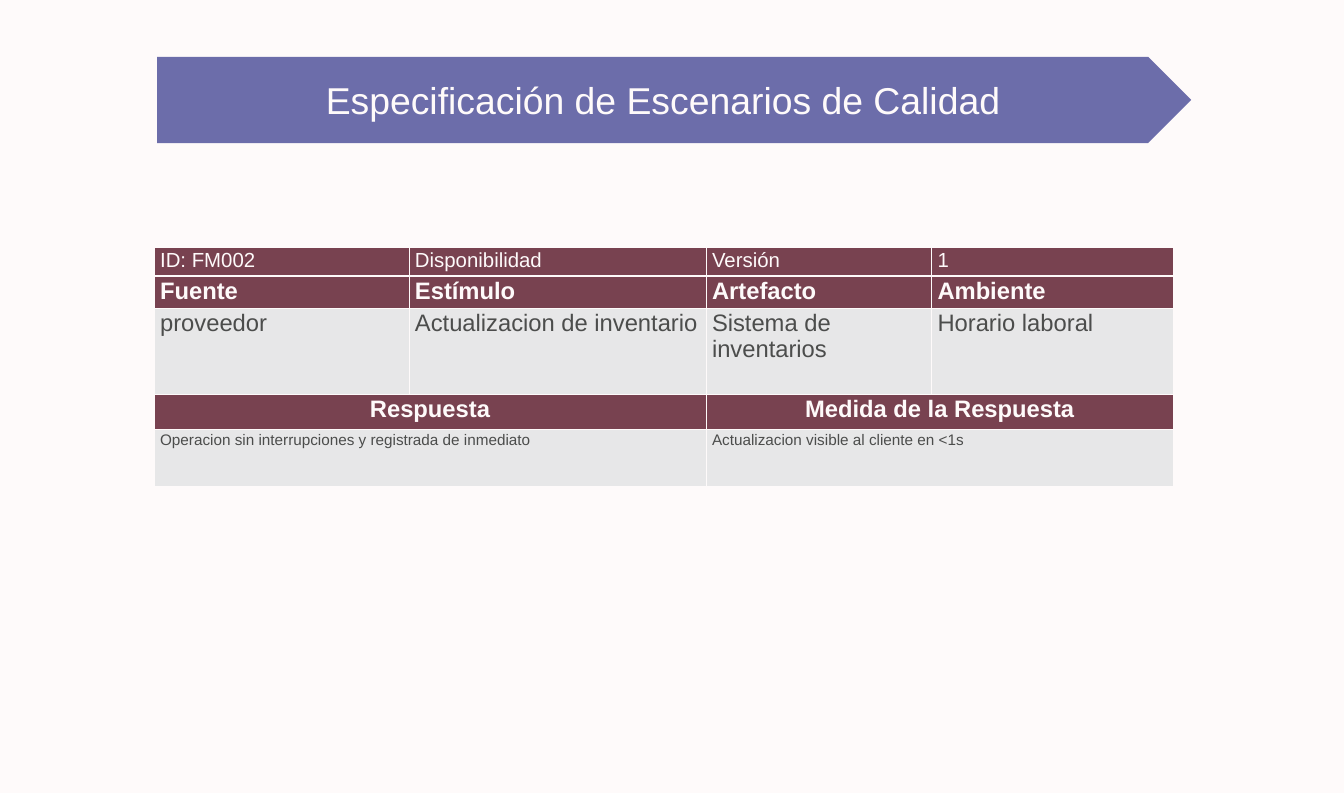
import pptx
import pptx.util
import pptx.dml.color
import pptx.enum.shapes
import pptx.enum.text
import pptx.oxml.ns
from lxml import etree

Inches = pptx.util.Inches
Pt = pptx.util.Pt
RGBColor = pptx.dml.color.RGBColor
PP_ALIGN = pptx.enum.text.PP_ALIGN
qn = pptx.oxml.ns.qn

COLORS = {
    "light": "FEFAFA",
    "banner": "252884",
    "header": "784250",
    "body": "E7E7E8",
    "text": "4C4D4C",
}
FONT = "Arial"


def add_border(cell, side, width):
    """Draw one cell edge; side is lnL, lnR, lnT or lnB, width is in points."""
    line = etree.Element(qn(f"a:{side}"), w=str(Pt(width)))
    fill = etree.SubElement(line, qn("a:solidFill"))
    etree.SubElement(fill, qn("a:srgbClr"), val=COLORS["light"])
    return line


presentation = pptx.Presentation()
presentation.slide_width = Inches(21.99)
presentation.slide_height = Inches(12.97)
slide = presentation.slides.add_slide(presentation.slide_layouts[5])
slide.background.fill.solid()
slide.background.fill.fore_color.rgb = RGBColor.from_string(COLORS["light"])

# Title on an arrow-shaped banner
banner = slide.shapes.add_shape(
    pptx.enum.shapes.MSO_SHAPE.PENTAGON,
    Inches(2.57), Inches(0.93), Inches(16.92), Inches(1.41))
banner.shadow.inherit = False
banner.fill.solid()
banner.fill.fore_color.rgb = RGBColor.from_string(COLORS["banner"])
banner_color = banner.fill._xPr.find(".//" + qn("a:srgbClr"))
etree.SubElement(banner_color, qn("a:alpha"), val="67000")
banner.line.fill.background()

title = slide.shapes.title
title.left, title.top = banner.left, banner.top
title.width, title.height = Inches(16.57), banner.height
title.text_frame.text = "Especificación de Escenarios de Calidad"
title.text_frame.vertical_anchor = pptx.enum.text.MSO_ANCHOR.MIDDLE
paragraph = title.text_frame.paragraphs[0]
paragraph.alignment = PP_ALIGN.CENTER
paragraph.font.name = FONT
paragraph.font.size = Pt(44)
paragraph.font.color.rgb = RGBColor.from_string(COLORS["light"])
# Put the title in front of the banner
slide.shapes._spTree.append(title._element)

# Quality scenario: height, fill, text colour, size, bold, texts
column_widths = [4.17, 4.86, 3.69, 3.96]
rows = [
    (0.47, "header", "light", 24, False, ["ID: FM002", "Disponibilidad", "Versión", "1"]),
    (0.53, "header", "light", 28, True, ["Fuente", "Estímulo", "Artefacto", "Ambiente"]),
    (1.4, "body", "text", 28, False,
     ["proveedor", "Actualizacion de inventario", "Sistema de inventarios", "Horario laboral"]),
    (0.57, "header", "light", 28, True, ["Respuesta", "Medida de la Respuesta"]),
    (0.94, "body", "text", 18, False,
     ["Operacion sin interrupciones y registrada de inmediato",
      "Actualizacion visible al cliente en <1s"]),
]
table = slide.shapes.add_table(
    len(rows), len(column_widths), Inches(2.52), Inches(4.05),
    Inches(sum(column_widths)), Inches(sum(row[0] for row in rows))).table
for column, width in zip(table.columns, column_widths):
    column.width = Inches(width)

for row_index, (height, fill, color, size, bold, texts) in enumerate(rows):
    table.rows[row_index].height = Inches(height)
    span = len(column_widths) // len(texts)
    for column_index in range(len(column_widths)):
        cell = table.cell(row_index, column_index)
        cell.fill.solid()
        cell.fill.fore_color.rgb = RGBColor.from_string(COLORS[fill])
        borders = {"lnL": 1, "lnR": 1, "lnT": 3 if row_index == 1 else 1,
                   "lnB": 3 if row_index == 0 else 1}
        for position, (side, width) in enumerate(borders.items()):
            cell._tc.get_or_add_tcPr().insert(position, add_border(cell, side, width))

    for text_index, text in enumerate(texts):
        first_column = text_index * span
        cell = table.cell(row_index, first_column)
        if span > 1:
            cell.merge(table.cell(row_index, first_column + span - 1))
        cell.text = text
        paragraph = cell.text_frame.paragraphs[0]
        paragraph.line_spacing = 0.95
        if span > 1 and bold:
            paragraph.alignment = PP_ALIGN.CENTER
        paragraph.font.name = FONT
        paragraph.font.size = Pt(size)
        paragraph.font.bold = bold
        paragraph.font.color.rgb = RGBColor.from_string(COLORS[color])

presentation.save("out.pptx")
